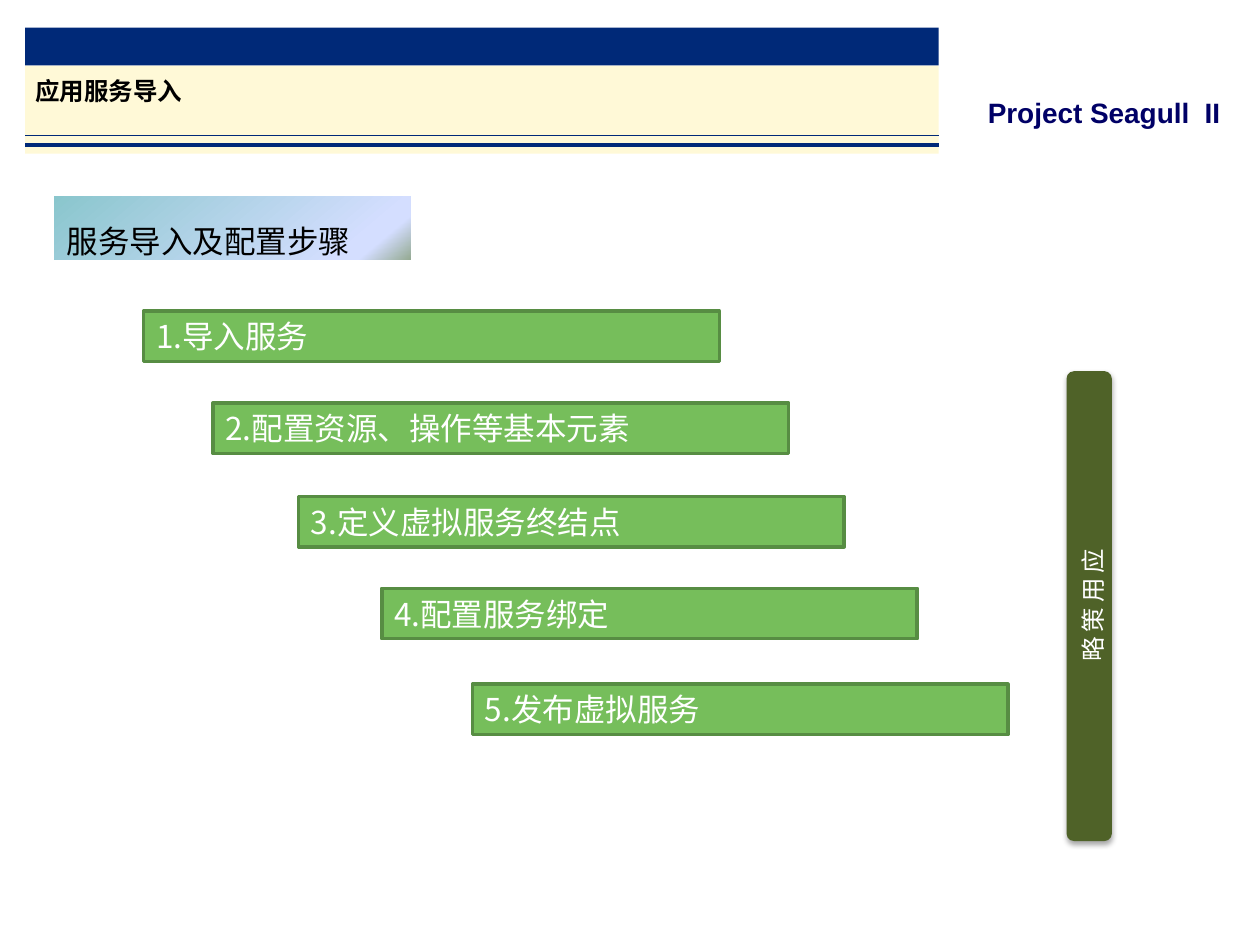
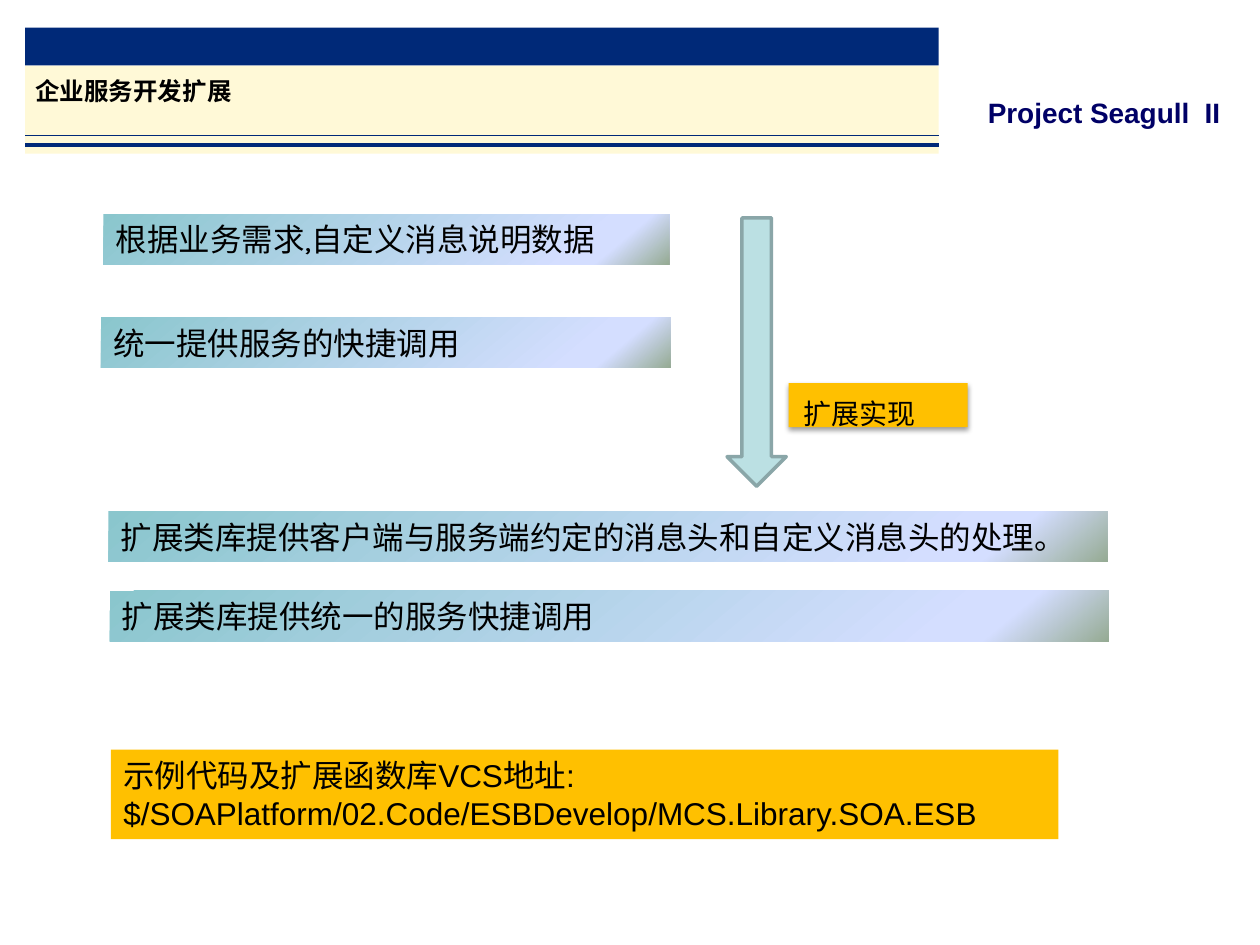
import dataclasses
import pptx
import pptx.util
import pptx.dml.color
import pptx.enum.shapes
import pptx.enum.text
import pptx.oxml
import pptx.oxml.ns

Inches = pptx.util.Inches
Pt = pptx.util.Pt
RGB = pptx.dml.color.RGBColor.from_string
Kind = pptx.enum.shapes.MSO_SHAPE
Anchor = pptx.enum.text.MSO_ANCHOR
Align = pptx.enum.text.PP_ALIGN
NS = pptx.oxml.ns.nsdecls("a")


@dataclasses.dataclass(frozen=True)
class Theme:
    navy: str = "002978"
    cream: str = "FFF9D7"
    brand: str = "000066"
    black: str = "000000"
    white: str = "FFFFFF"
    green: str = "76BE5B"
    edge: str = "578D43"
    olive: str = "4F6228"
    gold: str = "FFC000"
    pale: str = "BBE0E3"
    rim: str = "8AA6A8"
    fade: tuple = ((0, "8AC6CD"), (83, "D4DEFF"), (88, "D4DEFF"), (100, "96AB94"))
    body: int = 18
    label: int = 16
    title: int = 14
    rule: int = 2
    hair: float = 0.25
    latin: str = "Arial"
    soft: str = "Karla"
    han: str = "Noto Sans CJK SC"


look = Theme()


def box(page, kind, spot, fill, edge=None, shade=None):
    shape = page.shapes.add_shape(kind, *map(Inches, spot))
    shape.shadow.inherit = False
    props = shape._element.spPr
    if fill == look.fade:
        shape.fill.gradient()
        stops = "".join(
            f'<a:gs pos="{at * 1000}"><a:srgbClr val="{tint}"/></a:gs>' for at, tint in fill)
        fresh = pptx.oxml.parse_xml(
            f'<a:gradFill {NS} rotWithShape="1"><a:gsLst>{stops}</a:gsLst>'
            '<a:lin ang="3000000" scaled="0"/></a:gradFill>')
        props.replace(props.find(pptx.oxml.ns.qn("a:gradFill")), fresh)
    else:
        shape.fill.solid()
        shape.fill.fore_color.rgb = RGB(fill)
    if edge:
        shape.line.color.rgb = RGB(edge)
        shape.line.width = Pt(look.rule)
    else:
        shape.line.fill.background()
    if shade:
        alpha, dist = shade
        glow = pptx.oxml.parse_xml(
            f'<a:outerShdw {NS} blurRad="{Pt(3.1)}" dist="{Pt(dist)}" dir="5400000" rotWithShape="0">'
            f'<a:srgbClr val="{look.black}"><a:alpha val="{alpha * 1000}"/></a:srgbClr></a:outerShdw>')
        props.find(pptx.oxml.ns.qn("a:effectLst")).append(glow)
    return shape


def write(shape, text, face, size, tint, bold=False, anchor=Anchor.TOP, align=Align.LEFT, pad=None, wrap=True):
    frame = shape.text_frame
    frame.text = text
    frame.word_wrap = wrap
    frame.auto_size = pptx.enum.text.MSO_AUTO_SIZE.NONE
    frame.vertical_anchor = anchor
    if pad is not None:
        left, right = pad
        frame.margin_left, frame.margin_right = Inches(left), Inches(right)
        frame.margin_top = frame.margin_bottom = 0
    line = frame.paragraphs[0]
    line.alignment = align
    font = line.font
    font.name, font.size, font.bold = face, Pt(size), bold
    font.color.rgb = RGB(tint)
    font._element.append(pptx.oxml.parse_xml(f'<a:ea {NS} typeface="{look.han}"/>'))
    return line


deck = pptx.Presentation()
deck.slide_width, deck.slide_height = Inches(10), Inches(7.5)

pages = []
for name in ("应用服务导入", "企业服务开发扩展"):
    page = deck.slides.add_slide(deck.slide_layouts[5])
    pages.append(page)
    title = page.shapes.title
    title.left, title.top, title.width, title.height = map(Inches, (0.2, 0.52, 7.25, 0.4))
    title.fill.solid()
    title.fill.fore_color.rgb = RGB(look.cream)
    write(title, name, look.latin, look.title, look.black, bold=True,
          anchor=Anchor.MIDDLE, pad=(0.08, 0), wrap=False)
    for top, tint in ((0.22, look.navy), (0.92, look.cream)):
        box(page, Kind.RECTANGLE, (0.2, top, 7.25, 0.3), tint)
    for top, width in ((1.07, look.hair), (1.15, look.rule)):
        rule = page.shapes.add_connector(
            pptx.enum.shapes.MSO_CONNECTOR.STRAIGHT, *map(Inches, (0.2, top, 7.45, top)))
        rule.line.color.rgb = RGB(look.navy)
        rule.line.width = Pt(width)
        rule._element.spPr.append(pptx.oxml.parse_xml(f"<a:effectLst {NS}/>"))
    brand = page.shapes.add_textbox(*map(Inches, (7.84, 0.76, 1.97, 0.31)))
    write(brand, "Project Seagull  II", look.latin, look.label, look.brand,
          bold=True, pad=(0, 0), wrap=False)

steps, code = pages

head = box(steps, Kind.RECTANGLE, (0.43, 1.56, 2.83, 0.5), look.fade)
write(head, "服务导入及配置步骤", look.soft, look.body, look.black).line_spacing = 1.5

for left, top, width, text in (
    (1.14, 2.47, 4.57, "1.导入服务"),
    (1.69, 3.2, 4.57, "2.配置资源、操作等基本元素"),
    (2.37, 3.94, 4.33, "3.定义虚拟服务终结点"),
    (3.03, 4.67, 4.25, "4.配置服务绑定"),
    (3.75, 5.43, 4.25, "5.发布虚拟服务"),
):
    step = box(steps, Kind.RECTANGLE, (left, top, width, 0.4), look.green, look.edge)
    write(step, text, look.han, look.body, look.white)

bar = box(steps, Kind.ROUNDED_RECTANGLE, (6.78, 4.63, 3.73, 0.36), look.olive, shade=(35, 1.8))
bar.rotation = 270
write(bar, "应用策略", look.han, look.title, look.white, anchor=Anchor.MIDDLE, align=Align.CENTER)
bar.text_frame._txBody.bodyPr.set("vert", "eaVert")

for left, top, width, text in (
    (0.82, 1.7, 4.49, "根据业务需求,自定义消息说明数据".replace(",", ",")),
    (0.8, 2.52, 4.52, "统一提供服务的快捷调用"),
    (0.86, 4.06, 7.93, "扩展类库提供客户端与服务端约定的消息头和自定义消息头的处理。"),
    (0.87, 4.69, 7.93, "扩展类库提供统一的服务快捷调用"),
):
    point = box(code, Kind.RECTANGLE, (left, top, width, 0.4), look.fade)
    write(point, text, look.soft, look.body, look.black)

arrow = box(code, Kind.RIGHT_ARROW, (4.94, 2.56, 2.13, 0.47), look.pale, look.rim)
arrow.rotation = 90

tag = box(code, Kind.RECTANGLE, (6.26, 3.04, 1.42, 0.35), look.gold, shade=(38, 1.6))
line = write(tag, "扩展实现", look.soft, look.label, look.black, anchor=Anchor.MIDDLE, pad=(0.12, 0.12))
line.line_spacing = 1.5
line.space_before = Pt(3.2)

note = box(code, Kind.RECTANGLE, (0.88, 5.95, 7.52, 0.71), look.gold)
write(note, "示例代码及扩展函数库VCS地址: $/SOAPlatform/02.Code/ESBDevelop/MCS.Library.SOA.ESB",
      look.latin, look.body, look.black)

deck.save("out.pptx")
